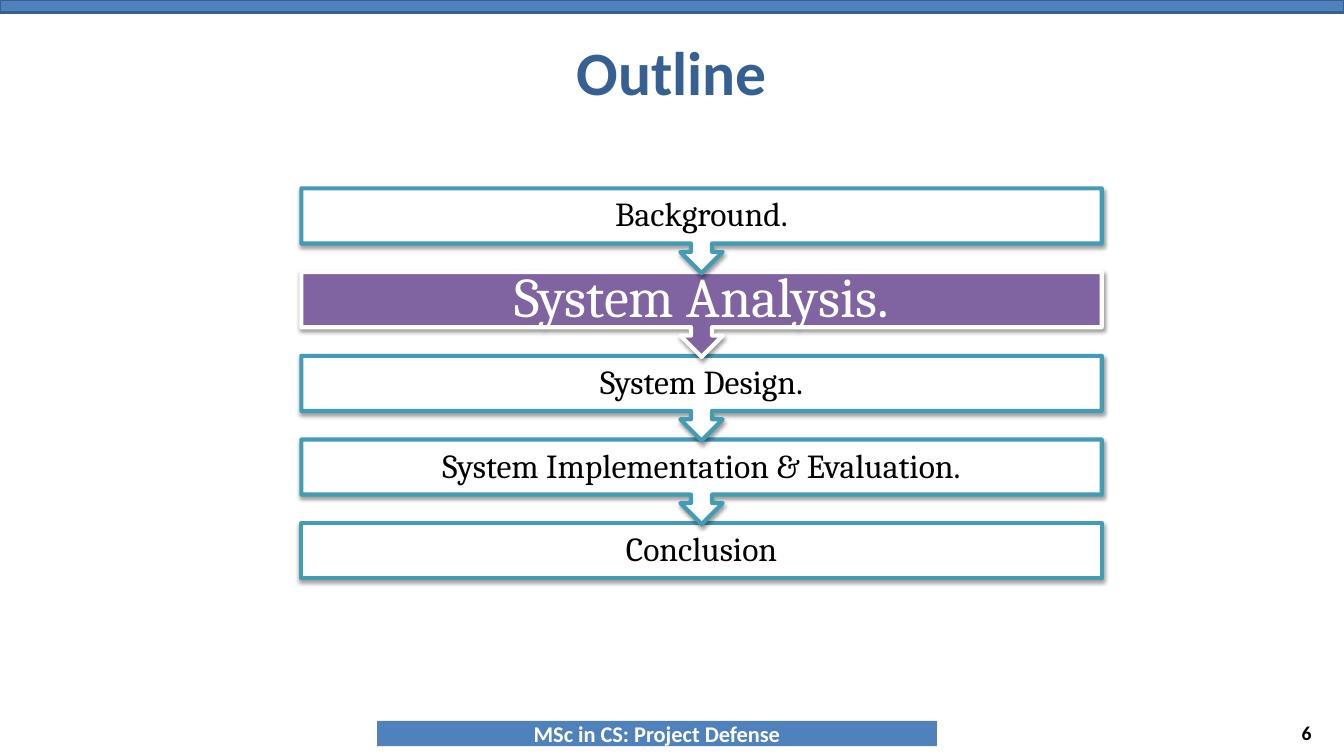
"""Build the outline slide: a chain of five steps with the current one highlighted."""
from lxml import etree
from pptx import Presentation
from pptx.dml.color import RGBColor
from pptx.enum import shapes, text
from pptx.oxml import ns
from pptx.util import Pt


def style(sp, fill, line=None, width=0):
    sp.shadow.inherit = False
    sp.fill.solid()
    sp.fill.fore_color.rgb = RGBColor.from_string(fill)
    if line:
        sp.line.color.rgb = RGBColor.from_string(line)
        sp.line.width = Pt(width)
    else:
        sp.line.fill.background()


def write(sp, words, size, color, font="Calibri", bold=True, align=text.PP_ALIGN.CENTER):
    tf = sp.text_frame
    tf.word_wrap = True
    tf.auto_size = text.MSO_AUTO_SIZE.NONE
    tf.vertical_anchor = text.MSO_ANCHOR.MIDDLE
    tf.margin_top = tf.margin_bottom = 0
    p = tf.paragraphs[0]
    p.alignment = align
    r = p.add_run()
    r.text = words
    r.font.size = Pt(size)
    r.font.name = font
    r.font.bold = bold
    r.font.color.rgb = RGBColor.from_string(color)
    return p


prs = Presentation()
prs.slide_width, prs.slide_height = Pt(960), Pt(540)
s = prs.slides.add_slide(prs.slide_layouts[5])
rect = shapes.MSO_SHAPE.RECTANGLE

top_bar = s.shapes.add_shape(rect, 0, 0, Pt(960), Pt(8.8))
style(top_bar, "4F81BD", "3A5F8C", 2)

footer = s.shapes.add_shape(rect, Pt(269.3), Pt(515), Pt(400), Pt(18))
style(footer, "4F81BD")
write(footer, "MSc in CS: Project Defense", 16, "FFFFFF")

title = s.shapes.title
title.left, title.top, title.width, title.height = Pt(48), Pt(18), Pt(864), Pt(65.5)
write(title, "Outline", 44, "376092")

number = s.shapes.add_textbox(Pt(720), Pt(509), Pt(224), Pt(29))
write(number, "6", 14, "000000", align=text.PP_ALIGN.RIGHT)

steps = ["Background.", "System Analysis.", "System Design.",
         "System Implementation & Evaluation.", "Conclusion"]
current = 1
last = len(steps) - 1
top, pitch = 134.6, 59.8

for i in reversed(range(len(steps))):
    kind, height = shapes.MSO_SHAPE.DOWN_ARROW_CALLOUT, 60.5
    if i == last:
        kind, height = rect, 39.2
    step = s.shapes.add_shape(kind, Pt(215.3), Pt(top + i * pitch), Pt(571.7), Pt(height))
    if i != last:
        for k, value in enumerate((0.25, 0.25, 0.25, 0.65)):
            step.adjustments[k] = value
    if i == current:
        style(step, "8064A2", "FFFFFF", 3)
        p = write(step, steps[i], 40, "FFFFFF", "Cambria", False)
    else:
        style(step, "FFFFFF", "449CB4", 3)
        p = write(step, steps[i], 24, "000000", "Cambria", False)
    p.line_spacing = 0.9

    effects = step._element.spPr.find(ns.qn("a:effectLst"))
    shadow = etree.SubElement(effects, ns.qn("a:outerShdw"), blurRad=str(Pt(3.1)),
                              dist=str(Pt(1.6)), dir="5400000", rotWithShape="0")
    black = etree.SubElement(shadow, ns.qn("a:srgbClr"), val="000000")
    etree.SubElement(black, ns.qn("a:alpha"), val="38000")

prs.save("out.pptx")
